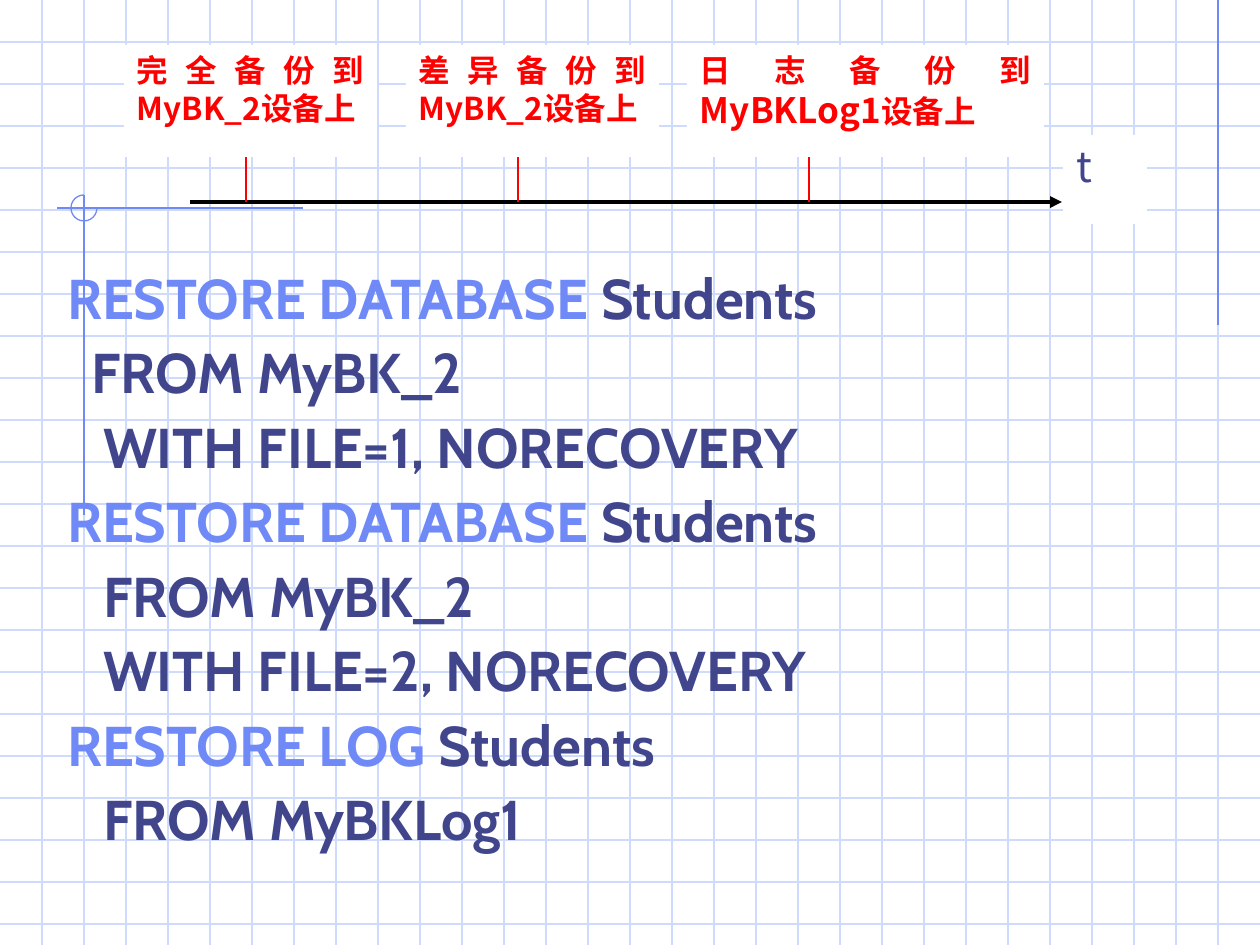
from lxml.etree import SubElement
from pptx import Presentation
from pptx.dml.color import RGBColor
from pptx.enum.shapes import MSO_CONNECTOR, MSO_SHAPE
from pptx.enum.text import MSO_ANCHOR, MSO_AUTO_SIZE, PP_ALIGN
from pptx.oxml.ns import qn
from pptx.util import Emu, Pt

WIDTH, HEIGHT, GRID = 1260, 945, 42
INSET_X, INSET_Y = 13, 6
WHITE = RGBColor(0xFF, 0xFF, 0xFF)
BLACK = RGBColor(0, 0, 0)
RED = RGBColor(0xFF, 0, 0)
PALE = RGBColor(0xCF, 0xDB, 0xFD)
BLUE = RGBColor(0x6F, 0x89, 0xF7)
NAVY = RGBColor(0x40, 0x45, 0x8C)
CODE_FONT, LABEL_FONT = "Cabin", "Noto Sans CJK SC"

CODE = [
    (0, "RESTORE DATABASE", " Students"),
    (24, "", "FROM MyBK_2"),
    (36, "", "WITH FILE=1, NORECOVERY"),
    (0, "RESTORE DATABASE", " Students"),
    (36, "", "FROM MyBK_2"),
    (36, "", "WITH FILE=2, NORECOVERY"),
    (0, "RESTORE LOG", " Students"),
    (36, "", "FROM MyBKLog1"),
]
BACKUPS = [
    (0, 253, 122, [("完全备份到MyBK_2设备上", 18)]),
    (282, 253, 394, [("差异备份到MyBK_2设备上", 18)]),
    (563, 357, 685, [("日志备份到", 18), ("MyBKLog1", 20), ("设备上", 18)]),
]


def px(value):
    """Convert pixels at 126 to the inch into EMU."""
    return Emu(round(value * 914400 / 126))


def add_line(shapes, start, end, color, width):
    """Draw a straight line without a shadow."""
    line = shapes.add_connector(MSO_CONNECTOR.STRAIGHT, *map(px, start + end))
    line.line.color.rgb = color
    line.line.width = Pt(width)
    SubElement(line._element.spPr, qn("a:effectLst"))
    return line


def style_run(run, font, size, color, bold):
    """Format one run, its East Asian characters included."""
    run.font.name = font
    run.font.size = Pt(size)
    run.font.color.rgb = color
    run.font.bold = bold
    SubElement(run._r.get_or_add_rPr(), qn("a:ea")).set("typeface", font)


def set_insets(frame):
    """Give a text frame the common insets, anchored at the top."""
    frame.margin_left = frame.margin_right = px(INSET_X)
    frame.margin_top = frame.margin_bottom = px(INSET_Y)
    frame.vertical_anchor = MSO_ANCHOR.TOP
    frame.word_wrap = True


def add_grid(slide):
    """Cover the slide with evenly spaced pale lines."""
    shapes = slide.shapes.add_group_shape().shapes
    for y in range(GRID, HEIGHT, GRID):
        add_line(shapes, (0, y), (WIDTH, y), PALE, 0.75)
    for x in range(GRID, WIDTH, GRID):
        add_line(shapes, (x, 0), (x, HEIGHT), PALE, 0.75)


def add_ornament(slide, left, top):
    """Draw the crosshair with its open circle, and the line at the right edge."""
    shapes = slide.shapes.add_group_shape().shapes
    add_line(shapes, (WIDTH - GRID, 0), (WIDTH - GRID, 325), BLUE, 0.75)
    add_line(shapes, (left + 246, top + 13), (left, top + 13), BLUE, 0.75)
    add_line(shapes, (left + 27, top), (left + 27, top + 320), BLUE, 0.75)
    arc = shapes.add_shape(MSO_SHAPE.ARC, px(left + 14), px(top), px(26), px(26))
    arc.adjustments[0], arc.adjustments[1] = 0, 162
    arc.fill.background()
    arc.line.color.rgb = BLUE
    arc.line.width = Pt(0.75)
    arc.shadow.inherit = False


def add_code(slide, left, top, width, height):
    """Fill the body placeholder with the restore statements."""
    body = slide.placeholders[1]
    body.left, body.top, body.width, body.height = map(px, (left, top, width, height))
    frame = body.text_frame
    set_insets(frame)
    frame.auto_size = MSO_AUTO_SIZE.NONE
    frame.text = "\n".join(keyword + rest for _, keyword, rest in CODE)
    for paragraph, (indent, keyword, rest) in zip(frame.paragraphs, CODE):
        paragraph.line_spacing = 0.9
        paragraph.space_before = Pt(8)
        properties = paragraph._p.get_or_add_pPr()
        properties.set("marL", str(px(indent)))
        properties.set("indent", "0")
        SubElement(properties, qn("a:buNone"))
        paragraph.text = keyword or rest
        style_run(paragraph.runs[0], CODE_FONT, 32, BLUE if keyword else NAVY, True)
        if keyword:
            run = paragraph.add_run()
            run.text = rest
            style_run(run, CODE_FONT, 32, NAVY, True)


def add_label(shapes, box, parts, color, bold):
    """Place a white box with justified text."""
    label = shapes.add_shape(MSO_SHAPE.RECTANGLE, *map(px, box))
    label.fill.solid()
    label.fill.fore_color.rgb = WHITE
    label.line.fill.background()
    label.shadow.inherit = False
    set_insets(label.text_frame)
    paragraph = label.text_frame.paragraphs[0]
    paragraph.alignment = PP_ALIGN.JUSTIFY
    for text, size in parts:
        run = paragraph.add_run()
        run.text = text
        style_run(run, LABEL_FONT, size, color, bold)


def add_timeline(slide, left, top):
    """Draw the time axis with a label and a tick for each backup."""
    shapes = slide.shapes.add_group_shape().shapes
    axis_y, label_height = top + 157, 112
    axis = add_line(shapes, (left + 66, axis_y), (left + 938, axis_y), BLACK, 2.25)
    SubElement(axis.line._get_or_add_ln(), qn("a:tailEnd")).set("type", "triangle")
    for offset, width, tick, parts in BACKUPS:
        x = left + tick
        add_line(shapes, (x, top + label_height), (x, axis_y), RED, 1.5)
        add_label(shapes, (left + offset, top, width, label_height), parts, RED, True)
    add_label(shapes, (left + 939, top + 90, 84, 89), [("t", 24)], NAVY, False)


def main():
    """Build and save the slide."""
    presentation = Presentation()
    presentation.slide_width, presentation.slide_height = px(WIDTH), px(HEIGHT)
    slide = presentation.slides.add_slide(presentation.slide_layouts[1])
    title = slide.shapes.title._element
    title.getparent().remove(title)
    add_grid(slide)
    add_ornament(slide, 57, 195)
    body = slide.placeholders[1]._element
    body.getparent().append(body)
    add_code(slide, 54, 265, 1131, 625)
    add_timeline(slide, 124, 45)
    presentation.save("out.pptx")


if __name__ == "__main__":
    main()
